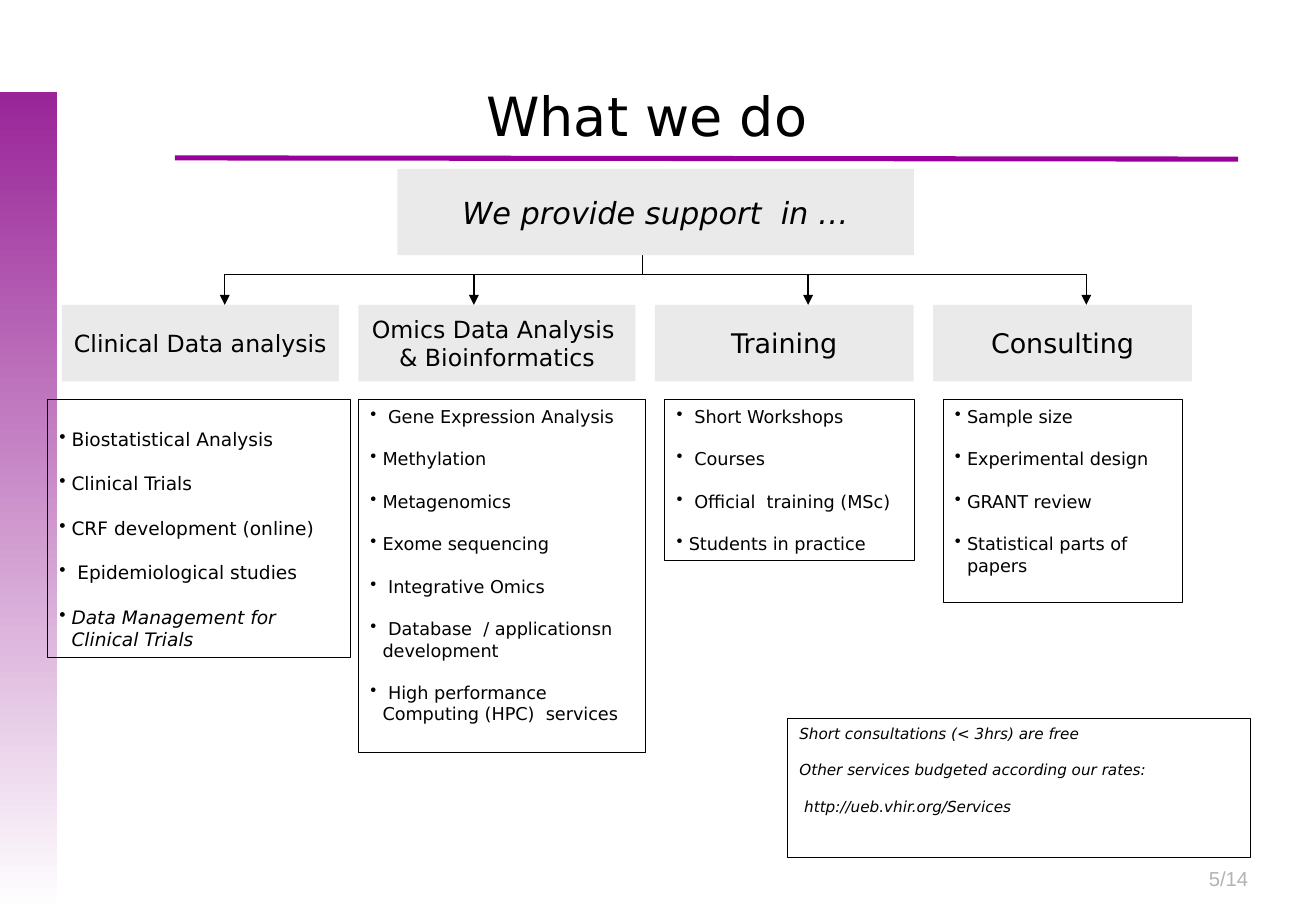
from dataclasses import dataclass

from lxml import etree
from pptx import Presentation
from pptx.dml.color import RGBColor as Rgb
from pptx.enum import shapes, text
from pptx.oxml import ns
from pptx.util import Inches, Pt


@dataclass(frozen=True)
class Theme:
    font: str = "DejaVu Sans"
    plain: str = "Arial"
    ink: str = "000000"
    paper: str = "FFFFFF"
    panel: str = "EAEAEA"
    rule: str = "990099"
    band: str = "992598"
    faint: str = "B3B3B3"
    title: float = 32
    lead: float = 18
    head: float = 16
    small: float = 14
    page: float = 12
    first: float = 11
    list: float = 10.5
    note: float = 9


theme = Theme()
deck = Presentation()
deck.slide_width, deck.slide_height = Inches(10.83), Inches(7.5)
slide = deck.slides.add_slide(deck.slide_layouts[6])


def box(place, lines, size, fill=None, edge=None, mid=False, wrap=True,
        ital=(), gap=0, dots=False, font=theme.font, ink=theme.ink):
    """Add a rectangle with one paragraph per line; ital holds italic line numbers."""
    shape = slide.shapes.add_shape(shapes.MSO_SHAPE.RECTANGLE, *map(Inches, place))
    shape.shadow.inherit = False
    if fill:
        shape.fill.solid()
        shape.fill.fore_color.rgb = Rgb.from_string(fill)
    else:
        shape.fill.background()
    if edge:
        shape.line.color.rgb = Rgb.from_string(edge)
        shape.line.width = Pt(0.25)
    else:
        shape.line.fill.background()
    frame = shape.text_frame
    frame.word_wrap = wrap
    frame.vertical_anchor = text.MSO_ANCHOR.MIDDLE if mid else text.MSO_ANCHOR.TOP
    for num, line in enumerate(lines):
        para = frame.add_paragraph() if num else frame.paragraphs[0]
        para.alignment = text.PP_ALIGN.CENTER if mid else text.PP_ALIGN.LEFT
        if num:
            para.space_before = Pt(gap)
        if dots:
            props = para._p.get_or_add_pPr()
            props.set("marL", str(Inches(0.1)))
            props.set("indent", str(-Inches(0.1)))
            etree.SubElement(props, ns.qn("a:buChar")).set("char", "•")
        for row, part in enumerate(line.split("\n")):
            if row:
                para.add_line_break()
            run = para.add_run()
            run.text = part
            run.font.name = font
            run.font.size = Pt(size)
            run.font.italic = num in ital
            run.font.color.rgb = Rgb.from_string(ink)
    return shape


def link(x1, y1, x2, y2, color=theme.ink, width=0.75, arrow=False):
    line = slide.shapes.add_connector(
        shapes.MSO_CONNECTOR.STRAIGHT, *map(Inches, (x1, y1, x2, y2)))
    line.line.color.rgb = Rgb.from_string(color)
    line.line.width = Pt(width)
    if arrow:
        tail = etree.SubElement(line.line._get_or_add_ln(), ns.qn("a:tailEnd"))
        tail.set("type", "triangle")
    etree.SubElement(line._element.spPr, ns.qn("a:effectLst"))


# Frame of the slide
link(1.44, 1.3, 10.19, 1.31, theme.rule, 3)
band = box((0, 0.76, 0.47, 6.74), [], theme.note)
band.fill.gradient()
band.fill.gradient_angle = 270
for stop, tone, spot in zip(band.fill.gradient_stops, (theme.band, theme.paper), (0, 1)):
    stop.color.rgb = Rgb.from_string(tone)
    stop.position = spot
box((9.85, 7.08, 1.45, 0.4), ["5/14"], theme.page, font=theme.plain, ink=theme.faint)
box((0.72, 0.36, 9.21, 1.17), ["What we do"], theme.title, mid=True)

# Headings of the four services: left, width, size, label
heads = [
    (0.51, 2.28, theme.small, "Clinical Data analysis"),
    (2.95, 2.28, theme.small, "Omics Data Analysis \n& Bioinformatics"),
    (5.39, 2.13, theme.head, "Training"),
    (7.68, 2.13, theme.head, "Consulting"),
]
for left, width, size, label in heads:
    box((left, 2.51, width, 0.63), [label], size, theme.panel, mid=True, wrap=False)

# Tree from the lead to the headings
bus = 2.26
drops = (1.85, 3.9, 6.65, 8.94)
link(drops[0], bus, drops[-1], bus)
link(5.29, 2.1, 5.29, bus)
for x in drops:
    link(x, bus, x, 2.51, arrow=True)
box((3.27, 1.39, 4.25, 0.71), ["We provide support  in …"], theme.lead,
    theme.panel, mid=True, wrap=False, ital=(0,))

# Lists under the headings: left, width, height, size, gap, italic lines, items
lists = [
    (0.39, 2.49, 2.12, theme.first, 13.2, (4,), [
        "Biostatistical Analysis", "Clinical Trials", "CRF development (online)",
        " Epidemiological studies", "Data Management for Clinical Trials"]),
    (2.95, 2.36, 2.9, theme.list, 12.6, (), [
        " Gene Expression Analysis", "Methylation", "Metagenomics",
        "Exome sequencing", " Integrative Omics",
        " Database  / applicationsn development",
        " High performance Computing (HPC)  services"]),
    (5.47, 2.05, 1.32, theme.list, 12.6, (), [
        " Short Workshops", " Courses", " Official  training (MSc)",
        "Students in practice"]),
    (7.76, 1.97, 1.67, theme.list, 12.6, (), [
        "Sample size", "Experimental design", "GRANT review",
        "Statistical parts of papers"]),
]
for num, (left, width, height, size, gap, ital, items) in enumerate(lists):
    card = box((left, 3.29, width, height), items, size, edge=theme.ink,
               ital=ital, gap=gap, dots=True)
    if num == 0:
        card.text_frame.margin_top = Inches(0.23)

box((6.48, 5.91, 3.81, 1.15), [
    "Short consultations (< 3hrs) are free",
    "Other services budgeted according our rates:",
    " http://ueb.vhir.org/Services",
], theme.note, edge=theme.ink, ital=(0, 1, 2), gap=10.8)

deck.save("out.pptx")
